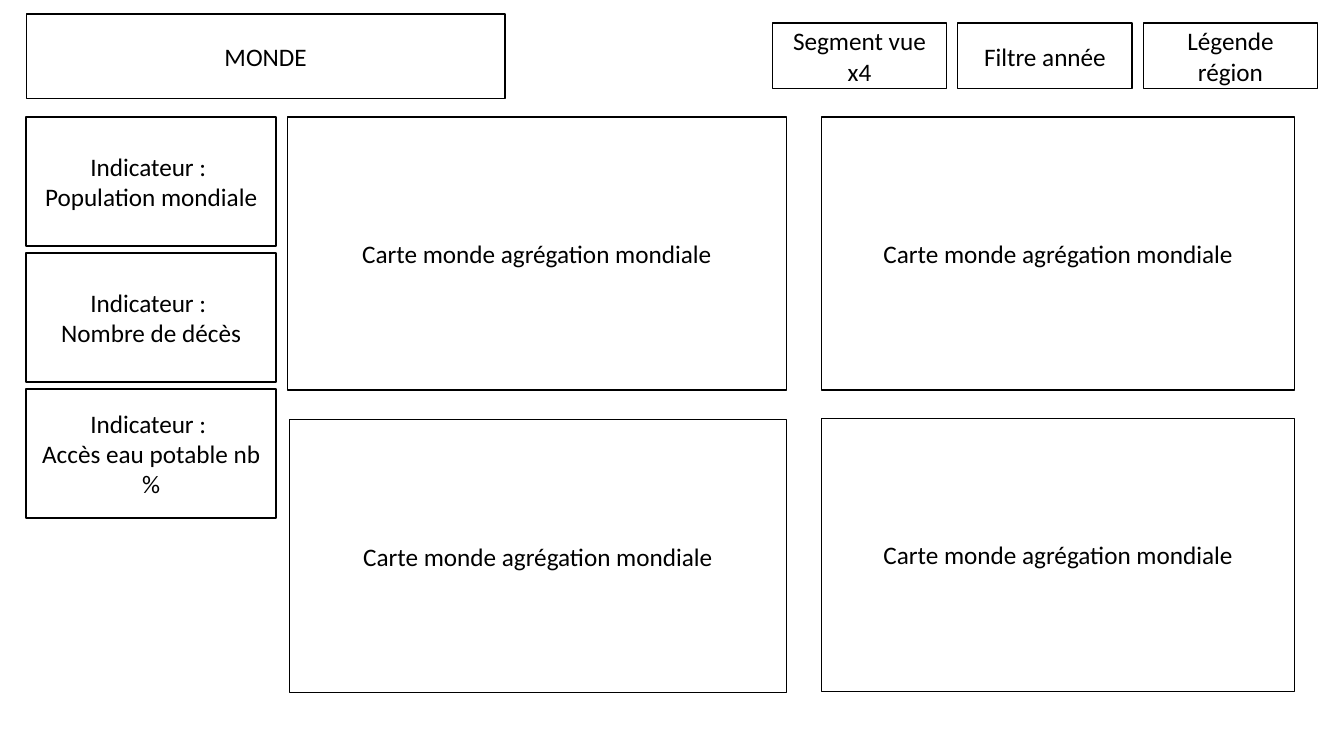
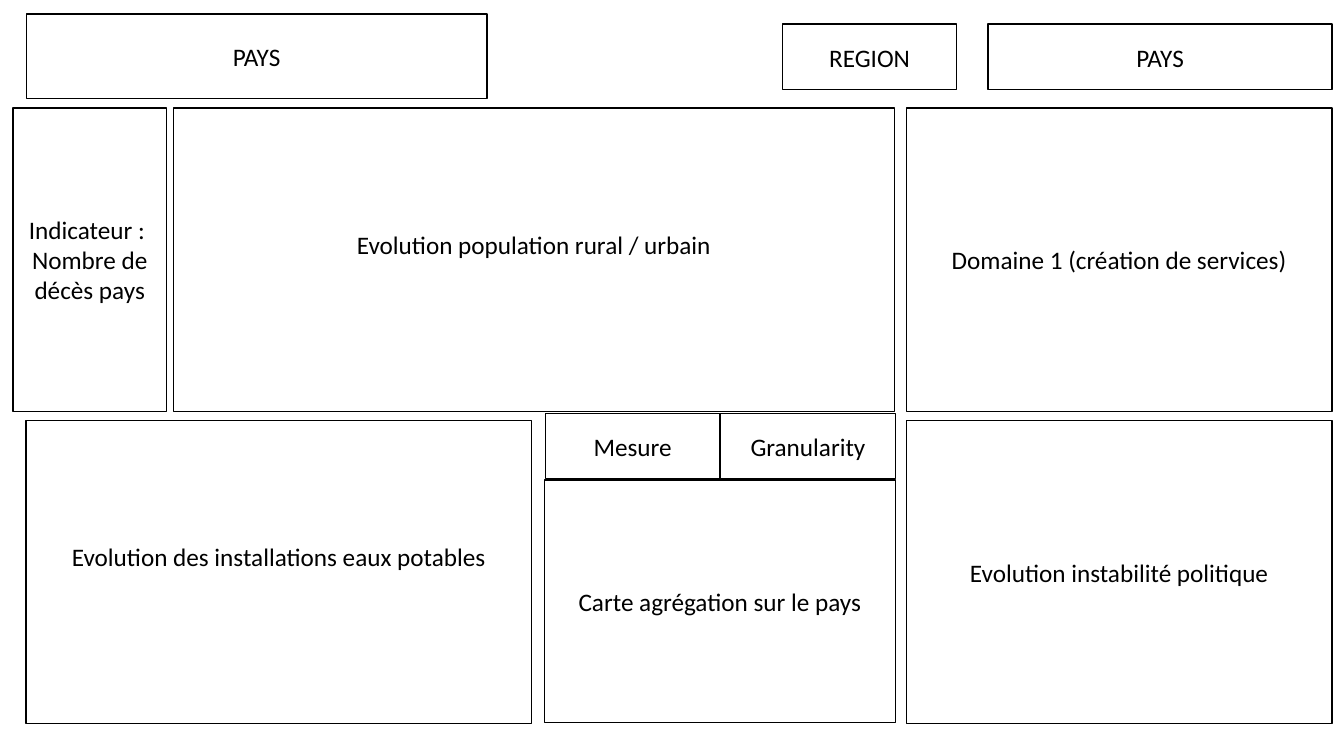
from pptx import Presentation
from pptx.dml.color import RGBColor
from pptx.enum.shapes import MSO_SHAPE
from pptx.enum.text import MSO_ANCHOR, MSO_AUTO_SIZE, PP_ALIGN
from pptx.util import Inches, Pt

RECTANGLE = MSO_SHAPE.RECTANGLE
MIDDLE = MSO_ANCHOR.MIDDLE
CENTER = PP_ALIGN.CENTER
NO_AUTOFIT = MSO_AUTO_SIZE.NONE
INK, PAPER = "000000", "FFFFFF"
FONT, TEXT_SIZE = "Calibri", Pt(18)

TITLE_ONLY = 5
MARGIN, TITLE_TOP, TITLE_HEIGHT = 1.95, 1.87, 11.2
FILTER_WIDTH, FILTER_HEIGHT = 12.98, 8.67

deck = Presentation()
deck.slide_width = Inches(13.33)
deck.slide_height = Inches(7.5)


def color(value):
    return RGBColor.from_string(value)


def frame(box, text, left, top, width, height, lift=0.05):
    box.left = round(deck.slide_width * left / 100)
    box.top = round(deck.slide_height * top / 100)
    box.width = round(deck.slide_width * width / 100)
    box.height = round(deck.slide_height * height / 100)
    box.fill.solid()
    box.fill.fore_color.rgb = color(PAPER)
    box.line.color.rgb = color(INK)
    box.line.width = Pt(1)
    text_frame = box.text_frame
    text_frame.word_wrap = True
    text_frame.auto_size = NO_AUTOFIT
    text_frame.vertical_anchor = MIDDLE
    text_frame.margin_bottom = Inches(lift)
    for index, line in enumerate(text.split("\n")):
        para = text_frame.add_paragraph() if index else text_frame.paragraphs[0]
        para.alignment = CENTER
        span = para.add_run()
        span.text = line
        span.font.name = FONT
        span.font.size = TEXT_SIZE
        span.font.color.rgb = color(INK)


MAP = "Carte monde agrégation mondiale"
MAP_TOP, MAP_HEIGHT = 15.47, 36.13
RIGHT_MAP_LEFT, RIGHT_MAP_WIDTH = 61.14, 35.18
world_boxes = [
    (MAP, 21.38, MAP_TOP, 37.13, MAP_HEIGHT),
    (MAP, RIGHT_MAP_LEFT, MAP_TOP, RIGHT_MAP_WIDTH, MAP_HEIGHT),
    (MAP, 21.53, 55.47, 36.98, MAP_HEIGHT),
    (MAP, RIGHT_MAP_LEFT, 55.33, RIGHT_MAP_WIDTH, MAP_HEIGHT),
]
for column, label in enumerate(["Segment vue x4", "Filtre année", "Légende région"]):
    world_boxes.append((label, 57.46 + 13.8 * column, 3.07, FILTER_WIDTH, FILTER_HEIGHT))
for row, label in enumerate(["Population mondiale", "Nombre de décès", "Accès eau potable nb %"]):
    world_boxes.append(("Indicateur : \n" + label, MARGIN, MAP_TOP + 18 * row, 18.6, 17.07))

UPPER, LOWER, PANEL_HEIGHT = 14.27, 55.6, 40.13
RIGHT_LEFT, RIGHT_WIDTH = 67.44, 31.66
RAISED = 0.35
country_boxes = [
    ("Domaine 1 (création de services)", RIGHT_LEFT, UPPER, RIGHT_WIDTH, PANEL_HEIGHT),
    ("REGION", 58.21, 3.2, FILTER_WIDTH, FILTER_HEIGHT),
    ("PAYS", 73.52, 3.2, 25.58, FILTER_HEIGHT),
    ("Evolution population rural / urbain", 12.9, UPPER, 53.64, PANEL_HEIGHT, RAISED),
    ("Evolution des installations eaux potables", MARGIN, LOWER, 37.58, PANEL_HEIGHT, RAISED),
    ("Carte agrégation sur le pays", 40.51, 63.47, 26.11, 32.13),
    ("Evolution instabilité politique", RIGHT_LEFT, LOWER, RIGHT_WIDTH, PANEL_HEIGHT),
    ("Indicateur : \nNombre de décès pays", 0.98, UPPER, 11.4, PANEL_HEIGHT),
]
for column, label in enumerate(["Mesure", "Granularity"]):
    country_boxes.append((label, 40.58 + 13.05 * column, 54.67, FILTER_WIDTH, FILTER_HEIGHT))

for title, title_width, boxes in [("MONDE", 35.63, world_boxes), ("PAYS", 34.28, country_boxes)]:
    page = deck.slides.add_slide(deck.slide_layouts[TITLE_ONLY])
    frame(page.shapes.title, title, MARGIN, TITLE_TOP, title_width, TITLE_HEIGHT)
    for placement in boxes:
        box = page.shapes.add_shape(RECTANGLE, 0, 0, 0, 0)
        box.shadow.inherit = False
        frame(box, *placement)

deck.save("out.pptx")
